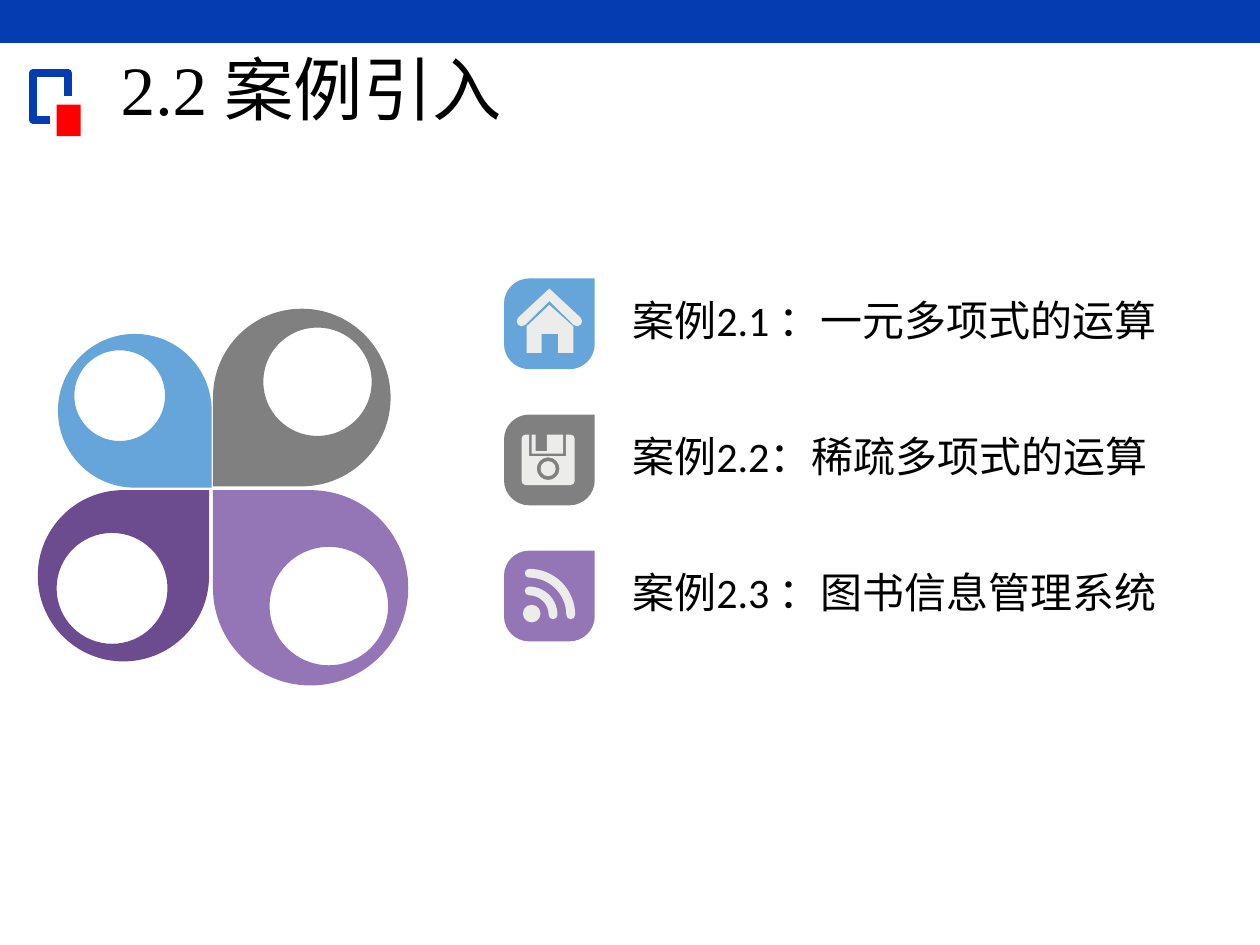
from dataclasses import dataclass
from math import ceil, cos, radians, sin, tan

from lxml.etree import SubElement
from pptx import Presentation
from pptx.dml.color import RGBColor
from pptx.enum.shapes import MSO_SHAPE as Preset
from pptx.enum.text import MSO_ANCHOR as Anchor
from pptx.oxml.ns import qn
from pptx.util import Inches, Pt


@dataclass(frozen=True)
class Theme:
    banner: str = "053CAF"
    accent: str = "FF0000"
    blue: str = "65A5D9"
    gray: str = "808080"
    violet: str = "6C4C8F"
    lilac: str = "9476B6"
    icon: str = "ECECEB"
    text: str = "000000"
    title_font: str = "Times New Roman"
    body_font: str = "Calibri"
    title_size: float = 39.6
    body_size: float = 24
    mark_line: float = 4.5


THEME = Theme()

# Corners, in the order the outline visits them
BOTTOM_RIGHT, BOTTOM_LEFT, TOP_LEFT, TOP_RIGHT = range(4)
CORNER_SIGNS = [(1, 1), (-1, 1), (-1, -1), (1, -1)]


# Outlines in inches: a step is [end] for a line, [control, control, end] for a curve
def lines(*points):
    return [[point] for point in points]


def arc(cx, cy, radius, start, end):
    count = ceil(abs(end - start) / 90)
    sweep = radians(end - start) / count
    pull = 4 / 3 * tan(sweep / 4)

    def at(angle, bend=0):
        return (cx + radius * (cos(angle) - bend * sin(angle)),
                cy + radius * (sin(angle) + bend * cos(angle)))

    angles = [radians(start) + sweep * i for i in range(count + 1)]
    return [[at(angles[0])]] + [[at(a, pull), at(b, -pull), at(b)]
                                for a, b in zip(angles, angles[1:])]


def circle(cx, cy, radius):
    return arc(cx, cy, radius, 0, 360)


def one_sharp_corner(left, top, size, radius, sharp):
    """A square with three round corners and a sharp one."""
    half = size / 2
    cx, cy = left + half, top + half
    steps = []
    for corner, (sx, sy) in enumerate(CORNER_SIGNS):
        if corner == sharp:
            steps += lines((cx + sx * half, cy + sy * half))
        else:
            inset = half - radius
            steps += arc(cx + sx * inset, cy + sy * inset, radius,
                         90 * corner, 90 * corner + 90)
    return steps


def signal_wave(cx, cy, radius, cap=0.035):
    """A quarter ring with round ends; radius is that of its middle line."""
    return (arc(cx, cy, radius + cap, 270, 360)
            + arc(cx + radius, cy, cap, 0, 180)
            + arc(cx, cy, radius - cap, 360, 270)
            + arc(cx, cy - radius, cap, 90, 270))


# Elements
def paint(shape, color):
    shape.shadow.inherit = False
    shape.fill.solid()
    shape.fill.fore_color.rgb = RGBColor.from_string(color)
    shape.line.fill.background()


def add_preset(shapes, preset, left, top, width, height, color):
    shape = shapes.add_shape(preset, Inches(left), Inches(top),
                             Inches(width), Inches(height))
    paint(shape, color)


def trace(shapes, contours, close=True):
    contours = [[[(Inches(x), Inches(y)) for x, y in step] for step in contour]
                for contour in contours]
    builder = shapes.build_freeform(*contours[0][0][-1])
    for number, (first, *rest) in enumerate(contours):
        if number:
            builder.move_to(*first[-1])
        builder.add_line_segments([step[-1] for step in rest], close=close)
    shape = builder.convert_to_shape()

    # Turn the lines of curved steps into Bezier curves
    steps = [step for contour in contours for step in contour[1:]]
    left, top = shape.left, shape.top
    for segment, step in zip(list(shape.element.iter(qn("a:lnTo"))), steps):
        if len(step) == 3:
            segment.tag = qn("a:cubicBezTo")
            for point in list(segment):
                segment.remove(point)
            for x, y in step:
                SubElement(segment, qn("a:pt"), x=str(x - left), y=str(y - top))
    return shape


def add_outline(shapes, color, *contours):
    paint(trace(shapes, contours), color)


def add_text(slide, text, left, top, width, height, font, size):
    box = slide.shapes.add_textbox(Inches(left), Inches(top),
                                   Inches(width), Inches(height))
    box.text_frame.word_wrap = True
    paragraph = box.text_frame.paragraphs[0]
    paragraph.text = text
    paragraph.font.name = font
    paragraph.font.size = Pt(size)
    paragraph.font.color.rgb = RGBColor.from_string(THEME.text)
    return box.text_frame


# Parts of the slide
def add_header(slide):
    add_preset(slide.shapes, Preset.RECTANGLE, 0, 0, 10, 0.34, THEME.banner)

    bracket = trace(slide.shapes, [lines((0.4, 0.95), (0.26, 0.95), (0.26, 0.58),
                                         (0.54, 0.58), (0.54, 0.76))], close=False)
    bracket.shadow.inherit = False
    bracket.fill.background()
    bracket.line.color.rgb = RGBColor.from_string(THEME.banner)
    bracket.line.width = Pt(THEME.mark_line)
    add_preset(slide.shapes, Preset.RECTANGLE, 0.45, 0.83, 0.19, 0.25, THEME.accent)

    title = add_text(slide, "2.2 案例引入", 0.86, 0.49, 7, 0.5,
                     THEME.title_font, THEME.title_size)
    title.vertical_anchor = Anchor.MIDDLE
    title.paragraphs[0].line_spacing = 0.9


def add_flower(slide):
    # left, top, size, sharp corner, hole (centre and radius), colour
    petals = [
        (0.46, 2.65, 1.22, BOTTOM_RIGHT, (0.95, 3.14, 0.36), THEME.blue),
        (0.3, 3.89, 1.36, TOP_RIGHT, (0.89, 4.67, 0.44), THEME.violet),
        (1.69, 2.45, 1.41, BOTTOM_LEFT, (2.52, 3.03, 0.43), THEME.gray),
        (1.69, 3.89, 1.55, TOP_LEFT, (2.61, 4.81, 0.47), THEME.lilac),
    ]
    flower = slide.shapes.add_group_shape().shapes
    for left, top, size, sharp, hole, color in petals:
        add_outline(flower, color, circle(*hole),
                    one_sharp_corner(left, top, size, size / 2, sharp))


def draw_house(shapes):
    roof = (lines((4.36, 2.29)) + arc(4.14, 2.55, 0.04, 225, 45)
            + lines((4.36, 2.39)) + arc(4.58, 2.55, 0.04, 135, -45))
    walls = lines((4.18, 2.59), (4.18, 2.8), (4.3, 2.8), (4.3, 2.65), (4.43, 2.65),
                  (4.43, 2.8), (4.55, 2.8), (4.55, 2.59), (4.36, 2.42))
    add_outline(shapes, THEME.icon, roof)
    add_outline(shapes, THEME.icon, walls)


def draw_disk(shapes):
    shutter = lines((4.47, 3.45), (4.34, 3.45), (4.34, 3.58), (4.25, 3.58),
                    (4.25, 3.45), (4.22, 3.45), (4.22, 3.6), (4.47, 3.6))
    body = (lines((4.49, 3.45), (4.49, 3.62), (4.2, 3.62), (4.2, 3.45))
            + arc(4.17, 3.48, 0.03, 270, 180) + arc(4.17, 3.82, 0.03, 180, 90)
            + arc(4.53, 3.82, 0.03, 90, 0) + arc(4.53, 3.48, 0.03, 0, -90))
    add_outline(shapes, THEME.icon, shutter)
    add_outline(shapes, THEME.icon, body, circle(4.35, 3.72, 0.09))
    add_preset(shapes, Preset.OVAL, 4.29, 3.66, 0.12, 0.12, THEME.icon)


def draw_signal(shapes):
    add_preset(shapes, Preset.OVAL, 4.15, 4.8, 0.14, 0.14, THEME.icon)
    for radius in (0.19, 0.33):
        add_outline(shapes, THEME.icon, signal_wave(4.2, 4.88, radius))


def add_cases(slide):
    cases = [
        ("案例2.1 ：一元多项式的运算", THEME.blue, draw_house),
        ("案例2.2：稀疏多项式的运算", THEME.gray, draw_disk),
        ("案例2.3 ：图书信息管理系统", THEME.lilac, draw_signal),
    ]
    for row, (text, color, draw_icon) in enumerate(cases):
        top = 2.21 + 1.08 * row
        badge = slide.shapes.add_group_shape().shapes
        add_outline(badge, color, one_sharp_corner(4, top, 0.72, 0.2, TOP_RIGHT))
        draw_icon(badge)
        add_text(slide, text, 4.92, top + 0.08, 4.5, 0.51,
                 THEME.body_font, THEME.body_size)


def main():
    deck = Presentation()
    deck.slide_width, deck.slide_height = Inches(10), Inches(7.5)
    slide = deck.slides.add_slide(deck.slide_layouts[6])
    add_header(slide)
    add_flower(slide)
    add_cases(slide)
    deck.save("out.pptx")


if __name__ == "__main__":
    main()
